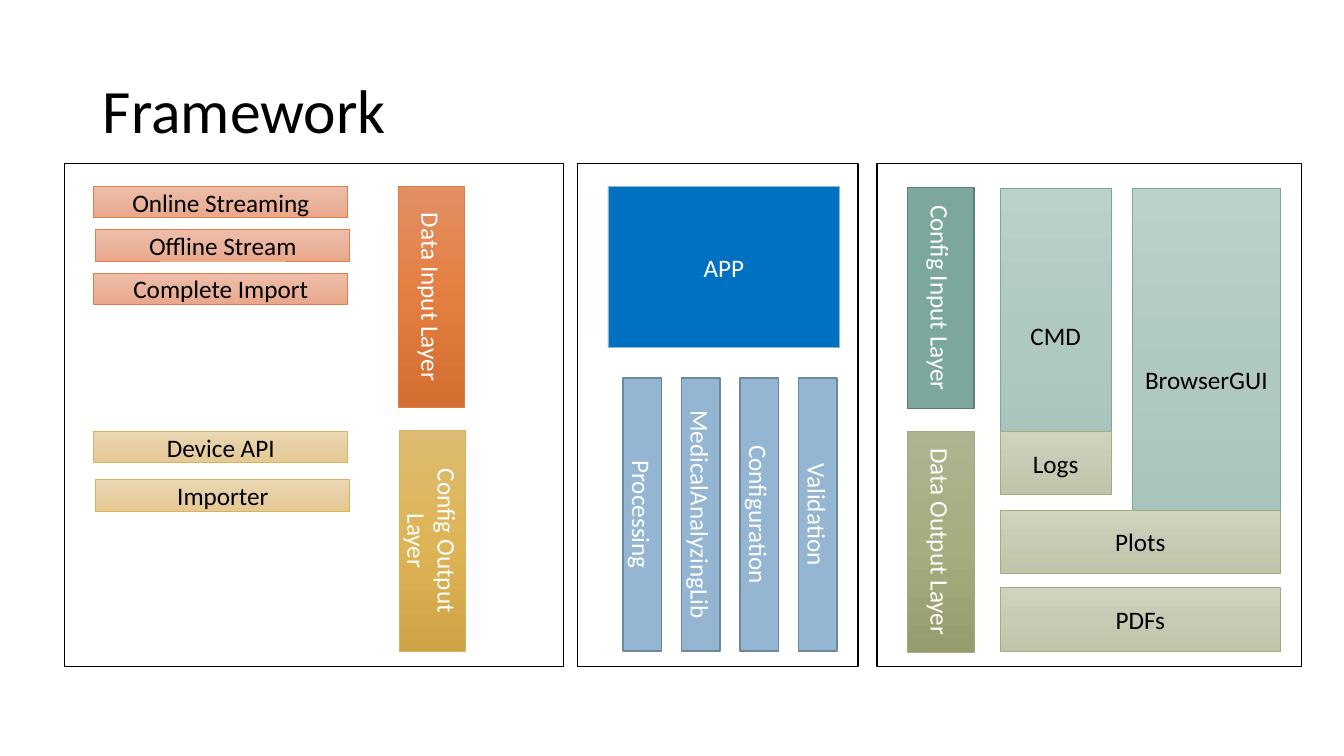
from copy import deepcopy

from pptx import Presentation
from pptx.dml.color import RGBColor
from pptx.enum.shapes import MSO_SHAPE
from pptx.enum.text import MSO_ANCHOR, PP_ALIGN
from pptx.oxml.ns import qn
from pptx.util import Inches, Pt

FONT = "Calibri"
BLACK = RGBColor(0x00, 0x00, 0x00)
WHITE = RGBColor(0xFF, 0xFF, 0xFF)
APP_BLUE = RGBColor(0x00, 0x70, 0xC0)
PALE_BLUE = RGBColor(0x94, 0xB6, 0xD2)
SLATE = RGBColor(0x6D, 0x87, 0x9B)
TEAL = RGBColor(0x7B, 0xA7, 0x9D)
DARK_TEAL = RGBColor(0x5B, 0x7C, 0x74)
ORANGE = RGBColor(0xDD, 0x80, 0x47)
GOLD = RGBColor(0xD8, 0xB2, 0x5C)
OLIVE = RGBColor(0xA5, 0xAB, 0x81)


def style(fills, line, ink, line_width=0.5):
    """Describe a box: one fill colour or three gradient colours, line and text."""
    return {"fills": fills, "line": line, "ink": ink, "line_width": line_width}


def shades(*codes):
    """Turn hex codes into a list of gradient colours."""
    return [RGBColor.from_string(code) for code in codes]


FRAME = style([], BLACK, BLACK, 1)
APP = style([APP_BLUE], PALE_BLUE, WHITE)
MODULE = style([PALE_BLUE], SLATE, WHITE, 1)
CONFIG_INPUT = style([TEAL], DARK_TEAL, WHITE, 1)
CONFIG_SOURCE = style(shades("BCD0CC", "B0C8C2", "A4C1BA"), TEAL, BLACK)
DATA_OUTPUT = style(shades("AFB490", "A6AD7F", "969C6E"), OLIVE, WHITE)
DATA_TARGET = style(shades("D0D3BF", "C7CAB4", "C0C4A8"), OLIVE, BLACK)
DATA_INPUT = style(shades("E28F63", "E47E40", "D46E30"), ORANGE, WHITE)
DATA_SOURCE = style(shades("EEBEAA", "EAB39C", "EBA78A"), ORANGE, BLACK)
CONFIG_OUTPUT = style(shades("DDBB72", "DEB456", "CDA345"), GOLD, WHITE)
CONFIG_TARGET = style(shades("EBD7B2", "E7CFA4", "E6C993"), GOLD, BLACK)


def set_all(target, values):
    """Set every attribute named in a dict."""
    for name, value in values.items():
        setattr(target, name, value)


def paint(box, fills):
    """Fill a box with nothing, one colour, or a top-down gradient."""
    if not fills:
        box.fill.background()
    elif len(fills) == 1:
        box.fill.solid()
        box.fill.fore_color.rgb = fills[0]
    else:
        box.fill.gradient()
        box.fill.gradient_angle = 270
        stop_list = box._element.spPr.find(qn("a:gradFill")).find(qn("a:gsLst"))
        stop_list.insert(1, deepcopy(stop_list[0]))
        for place, (stop, color) in enumerate(zip(box.fill.gradient_stops, fills)):
            set_all(stop, {"position": place / 2})
            stop.color.rgb = color


def add_box(page, area, look, text="", vertical=False):
    """Add a rectangle at area (left, top, width, height) with centred text."""
    box = page.shapes.add_shape(MSO_SHAPE.RECTANGLE, *map(Inches, area))
    box.shadow.inherit = False
    paint(box, look["fills"])
    box.line.color.rgb = look["line"]
    box.line.width = Pt(look["line_width"])
    if text:
        frame = box.text_frame
        set_all(frame, {"word_wrap": True, "vertical_anchor": MSO_ANCHOR.MIDDLE})
        if vertical:
            frame._txBody.bodyPr.set("vert", "vert")
        para = frame.paragraphs[0]
        para.alignment = PP_ALIGN.CENTER
        span = para.add_run()
        span.text = text
        set_all(span.font, {"name": FONT, "size": Pt(18)})
        span.font.color.rgb = look["ink"]
    return box


def add_parts(page, area, parts):
    """Frame a region and add its parts, placed from the region's corner."""
    left, top = area[:2]
    add_box(page, area, FRAME)
    for (x, y, width, height), *details in parts:
        add_box(page, (left + x, top + y, width, height), *details)


def add_title(page, area):
    """Move and format the title placeholder."""
    title = page.shapes.title
    set_all(title, dict(zip(("left", "top", "width", "height"), map(Inches, area))))
    title.text_frame.vertical_anchor = MSO_ANCHOR.MIDDLE
    para = title.text_frame.paragraphs[0]
    set_all(para, {"alignment": PP_ALIGN.LEFT, "line_spacing": 0.9})
    span = para.add_run()
    span.text = "Framework"
    set_all(span.font, {"name": FONT, "size": Pt(44)})
    span.font.color.rgb = BLACK


def add_device_region(page, area):
    """Add the data sources and config targets with their layers."""
    rows = [
        ("Online Streaming", 0.29, 0.23, DATA_SOURCE),
        ("Offline Stream", 0.31, 0.66, DATA_SOURCE),
        ("Complete Import", 0.29, 1.09, DATA_SOURCE),
        ("Device API", 0.29, 2.66, CONFIG_TARGET),
        ("Importer", 0.31, 3.14, CONFIG_TARGET),
    ]
    parts = [((x, y, 2.52, 0.31), look, text) for text, x, y, look in rows]
    add_parts(page, area, parts + [
        ((3.31, 0.23, 0.66, 2.19), DATA_INPUT, "Data Input Layer", True),
        ((3.32, 2.65, 0.66, 2.19), CONFIG_OUTPUT, "Config Output Layer", True),
    ])


def add_app_region(page, area):
    """Add the app and the row of modules below it."""
    modules = ["Processing", "MedicalAnalyzingLib", "Configuration", "Validation"]
    add_parts(page, area, [((0.3, 0.23, 2.3, 1.6), APP, "APP")] + [
        ((0.45 + 0.58 * place, 2.13, 0.38, 2.71), MODULE, text, True)
        for place, text in enumerate(modules)
    ])


def add_user_region(page, area):
    """Add the user-facing layers, with the outputs in front of the inputs."""
    add_parts(page, area, [
        ((0.3, 0.24, 0.66, 2.19), CONFIG_INPUT, "Config Input Layer", True),
        ((0.3, 2.66, 0.66, 2.19), DATA_OUTPUT, "Data Output Layer", True),
        ((2.53, 0.25, 1.47, 3.78), CONFIG_SOURCE, "BrowserGUI"),
        ((1.22, 0.25, 1.1, 2.92), CONFIG_SOURCE, "CMD"),
        ((1.22, 2.66, 1.1, 0.63), DATA_TARGET, "Logs"),
        ((1.22, 3.44, 2.78, 0.63), DATA_TARGET, "Plots"),
        ((1.22, 4.21, 2.78, 0.63), DATA_TARGET, "PDFs"),
    ])


def build():
    """Build the deck and save it."""
    deck = Presentation()
    set_all(deck, {"slide_width": Inches(13.33), "slide_height": Inches(7.5)})
    page = deck.slides.add_slide(deck.slide_layouts[5])
    add_title(page, (0.92, 0.4, 11.5, 1.45))
    add_device_region(page, (0.64, 1.62, 4.95, 4.99))
    add_app_region(page, (5.73, 1.62, 2.78, 4.99))
    add_user_region(page, (8.7, 1.62, 4.21, 4.99))
    deck.save("out.pptx")


build()
